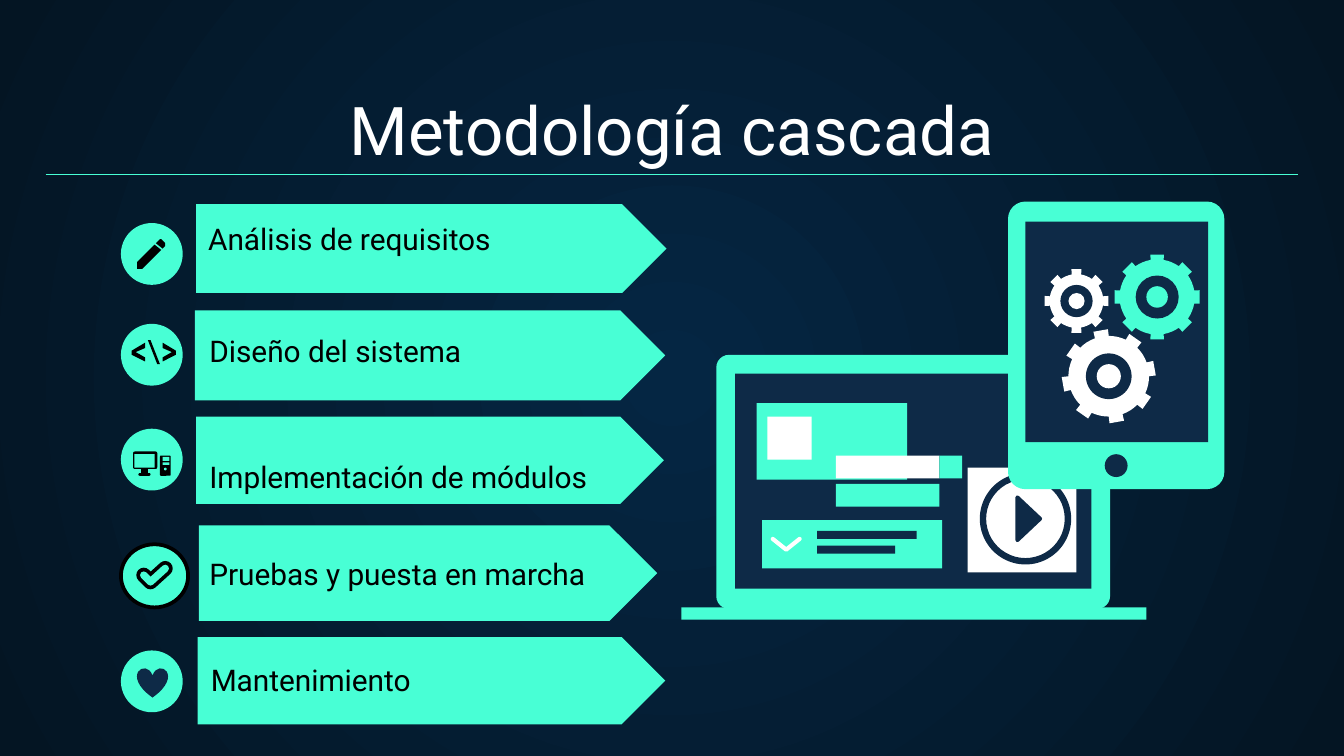
from math import cos, sin, radians

from lxml.etree import SubElement
from pptx import Presentation
from pptx.dml.color import RGBColor
from pptx.enum.shapes import MSO_CONNECTOR, MSO_SHAPE as SHAPE
from pptx.enum.text import MSO_ANCHOR as ANCHOR, PP_ALIGN as ALIGN
from pptx.oxml.ns import qn
from pptx.util import Inches, Pt

COLORS = {
    "teal": "48FFD5",
    "navy": "0E2A47",
    "white": "FFFFFF",
    "black": "000000",
    "center": "052643",
    "edge": "041523",
}
RGB = {name: RGBColor.from_string(value) for name, value in COLORS.items()}

# Widescreen slide, 16:9
presentation = Presentation()
presentation.slide_width = Inches(10)
presentation.slide_height = Inches(10) * 9 // 16
slide = presentation.slides.add_slide(presentation.slide_layouts[6])


def add_text(text, box, size=16, color="black", align=ALIGN.LEFT, font="Roboto"):
    frame = slide.shapes.add_textbox(*map(Inches, box)).text_frame
    frame.word_wrap = True
    frame.vertical_anchor = ANCHOR.BOTTOM
    frame.margin_left = frame.margin_right = Inches(0.1)
    frame.margin_top = frame.margin_bottom = Inches(0.1)
    paragraph = frame.paragraphs[0]
    paragraph.alignment = align
    run = paragraph.add_run()
    run.text = text
    run.font.name = font
    run.font.size = Pt(size)
    run.font.color.rgb = RGB[color]


def draw(kind, geometry, fill=None, line=None, width=0.75, adjust=None):
    """Draw a preset in a box, or, when kind is None, an outline through points."""
    if kind is None:
        points = [(Inches(x), Inches(y)) for x, y in geometry]
        builder = slide.shapes.build_freeform(*points[0])
        builder.add_line_segments(points[1:], close=fill is not None)
        shape = builder.convert_to_shape()
    else:
        shape = slide.shapes.add_shape(kind, *map(Inches, geometry))
    shape.shadow.inherit = False
    if adjust is not None:
        shape.adjustments[0] = adjust
    if fill:
        shape.fill.solid()
        shape.fill.fore_color.rgb = RGB[fill]
    else:
        shape.fill.background()
    if line:
        shape.line.color.rgb = RGB[line]
        shape.line.width = Pt(width)
        shape.line._ln.set("cap", "rnd")
    else:
        shape.line.fill.background()


# Background: radial gradient
background_fill = slide.background.fill
background_fill.gradient()
for stop, name in zip(background_fill.gradient_stops, ("center", "edge")):
    stop.color.rgb = RGB[name]
gradient = slide._element.find(".//" + qn("a:gradFill"))
gradient.remove(gradient.find(qn("a:lin")))
radial = SubElement(gradient, qn("a:path"), {"path": "circle"})
SubElement(radial, qn("a:fillToRect"), {side: "50000" for side in "ltrb"})

# Title and rule
add_text("Metodología cascada", (0.34, 0.7, 9.32, 0.66), size=36, color="white",
         align=ALIGN.CENTER)
rule = slide.shapes.add_connector(
    MSO_CONNECTOR.STRAIGHT, Inches(0.34), Inches(1.3), Inches(9.66), Inches(1.3))
rule.line.color.rgb = RGB["teal"]
rule.line.width = Pt(0.75)
SubElement(rule._element.spPr, qn("a:effectLst"))

# Steps: arrow box, label, label box
steps = [
    ((1.46, 1.52, 3.5, 0.66), "Análisis de requisitos", (1.45, 1.76, 3.39, 0.25)),
    ((1.45, 2.31, 3.5, 0.67), "Diseño del sistema", (1.46, 2.04, 3.26, 0.8)),
    ((1.46, 3.1, 3.48, 0.65), "Implementación de módulos", (1.46, 3.34, 3.03, 0.44)),
    ((1.48, 3.91, 3.41, 0.71), "Pruebas y puesta en marcha", (1.46, 3.79, 3.66, 0.71)),
    ((1.47, 4.74, 3.48, 0.65), "Mantenimiento", (1.47, 4.66, 3.14, 0.63)),
]
for arrow_box, label, label_box in steps:
    draw(SHAPE.PENTAGON, arrow_box, "teal", adjust=0.5)
    add_text(label, label_box)

# Icon discs
for top in (1.66, 2.41, 3.19, 4.84):
    draw(SHAPE.OVAL, (0.9, top, 0.46, 0.46), "teal")
draw(SHAPE.OVAL, (0.9, 4.05, 0.5, 0.47), "teal", "black", 2)

# Pencil and code icons
glyphs = [
    [(1.15, 1.82), (1.02, 1.95), (1.02, 2), (1.06, 2), (1.2, 1.86)],
    [(1.19, 1.78), (1.16, 1.81), (1.21, 1.85), (1.23, 1.83), (1.23, 1.81), (1.2, 1.78)],
    [(1.08, 2.69), (0.98, 2.64), (0.98, 2.61), (1.08, 2.55), (1.08, 2.59),
     (1.01, 2.62), (1.08, 2.66)],
    [(1.17, 2.71), (1.1, 2.53), (1.12, 2.53), (1.19, 2.71)],
    [(1.21, 2.69), (1.21, 2.66), (1.28, 2.62), (1.21, 2.59), (1.21, 2.55),
     (1.31, 2.61), (1.31, 2.64)],
]
for points in glyphs:
    draw(None, points, "black")

# Computer icon: monitor, then tower
draw(SHAPE.ROUNDED_RECTANGLE, (0.99, 3.36, 0.18, 0.13), "black", adjust=0.1)
draw(SHAPE.RECTANGLE, (1, 3.38, 0.15, 0.1), "teal")
draw(SHAPE.RECTANGLE, (1.05, 3.49, 0.05, 0.03), "black")
draw(SHAPE.ROUNDED_RECTANGLE, (1.03, 3.52, 0.09, 0.02), "black", adjust=0.5)
draw(SHAPE.ROUNDED_RECTANGLE, (1.19, 3.39, 0.08, 0.15), "black", adjust=0.1)
draw(SHAPE.RECTANGLE, (1.21, 3.4, 0.05, 0.03), "teal")
draw(SHAPE.RECTANGLE, (1.21, 3.44, 0.05, 0.02), "teal")
draw(SHAPE.OVAL, (1.22, 3.48, 0.02, 0.02), "teal")

# Check mark and heart icons
for color, width in (("black", 8), ("teal", 4)):
    draw(None, [(1.07, 4.28), (1.12, 4.33), (1.23, 4.23)], line=color, width=width)
draw(SHAPE.HEART, (1.02, 4.97, 0.23, 0.22), "navy")

# Laptop
draw(SHAPE.ROUNDED_RECTANGLE, (5.33, 2.64, 2.93, 1.89), "teal", adjust=0.05)
panels = [
    ((5.47, 2.78, 2.65, 1.6), "navy"),
    ((5.07, 4.52, 3.46, 0.09), "teal"),
    ((5.63, 3, 1.12, 0.57), "teal"),
    ((5.71, 3.1, 0.33, 0.32), "white"),
    ((5.67, 3.87, 1.34, 0.36), "teal"),
    ((6.08, 3.95, 0.74, 0.06), "navy"),
    ((6.08, 4.06, 0.58, 0.06), "navy"),
    ((6.22, 3.6, 0.77, 0.17), "teal"),
    ((6.22, 3.39, 0.77, 0.17), "white"),
    ((6.99, 3.39, 0.17, 0.17), "teal"),
    ((7.2, 3.48, 0.81, 0.78), "white"),
]
for box, color in panels:
    draw(SHAPE.RECTANGLE, box, color)
draw(None, [(5.75, 4.01), (5.85, 4.09), (5.95, 4.01)], line="white", width=2.25)
draw(SHAPE.DONUT, (7.29, 3.52, 0.68, 0.68), "navy", adjust=0.07)
draw(None, [(7.57, 3.7), (7.74, 3.86), (7.57, 4.02)], "navy", "navy", 2)

# Tablet
draw(SHAPE.ROUNDED_RECTANGLE, (7.5, 1.5, 1.61, 2.14), "teal", adjust=0.08)
draw(SHAPE.RECTANGLE, (7.63, 1.65, 1.36, 1.64), "navy")
draw(SHAPE.OVAL, (8.22, 3.38, 0.17, 0.17), "navy")

# Gears: center, tooth radius, body radius, ring radius, hub radius, turn, color
gears = [
    (8.61, 2.21, 0.32, 0.28, 0.16, 0.08, 0, "teal"),
    (8.01, 2.24, 0.24, 0.2, 0.12, 0.06, 0, "white"),
    (8.25, 2.8, 0.35, 0.3, 0.17, 0.09, -10, "white"),
]
for x, y, tooth, body, ring, hub, turn, color in gears:
    outline = []
    for angle in range(turn, turn + 360, 45):
        # Each tooth is followed by an arc of the body
        polar = [(body, -10), (tooth, -9), (tooth, 9)]
        polar += [(body, step) for step in (10, 16, 22, 29)]
        outline += [(x + radius * cos(radians(angle + offset)),
                     y + radius * sin(radians(angle + offset)))
                    for radius, offset in polar]
    draw(None, outline, color)
    for radius, fill in ((ring, "navy"), (hub, color)):
        draw(SHAPE.OVAL, (x - radius, y - radius, 2 * radius, 2 * radius), fill)

presentation.save("out.pptx")
